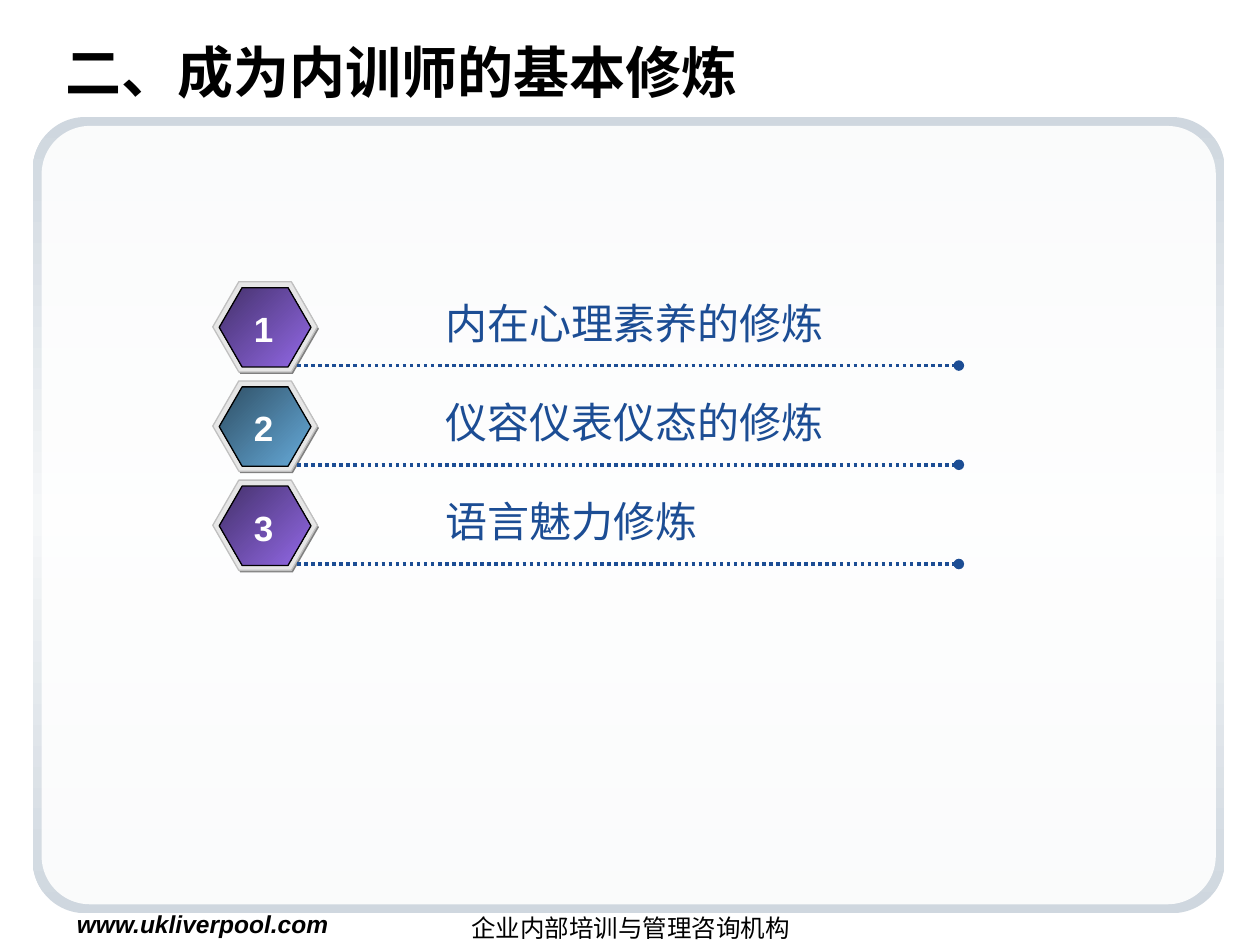
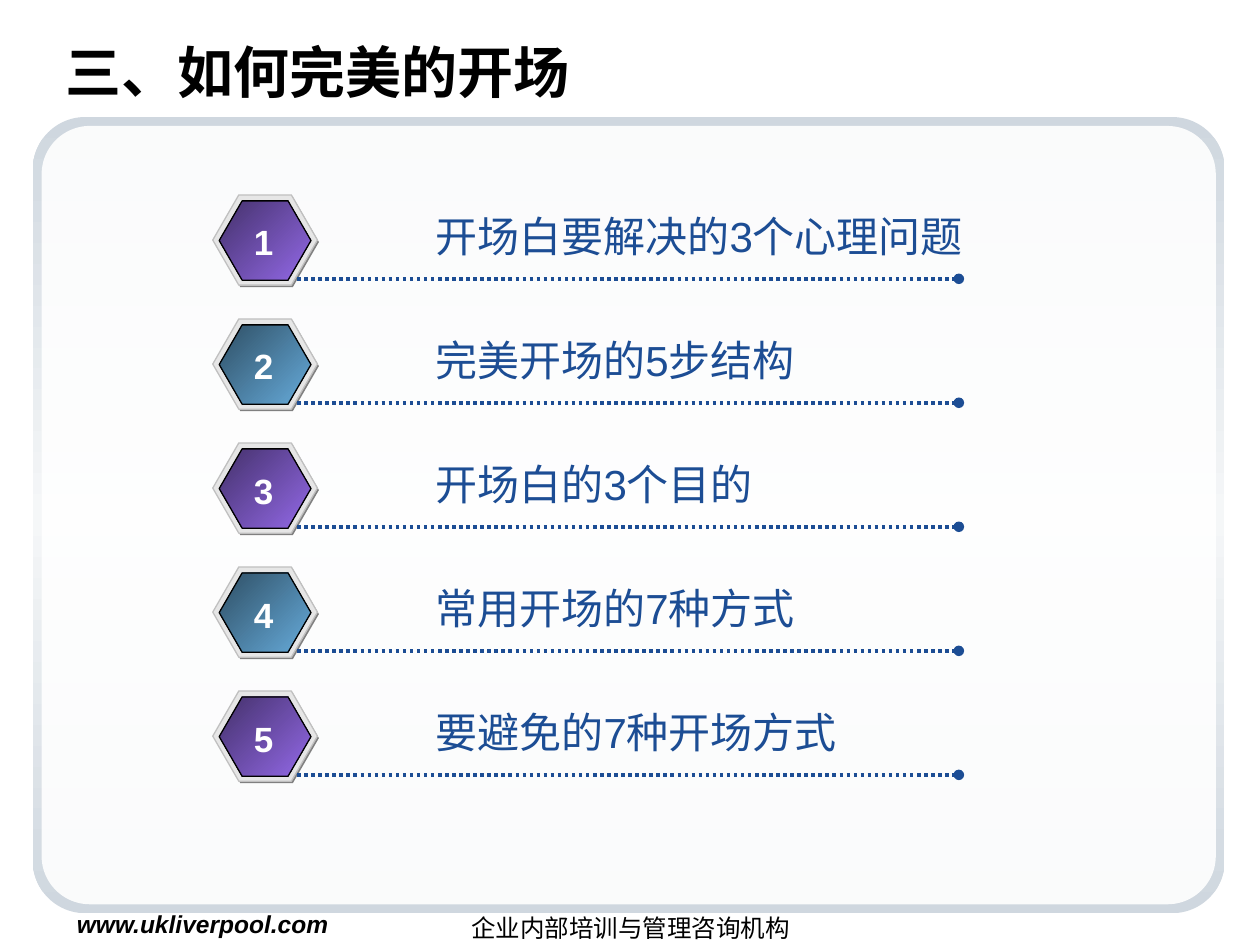
from lxml import etree
from pptx import Presentation
from pptx import util as u
from pptx.dml import color
from pptx.enum import dml, lang, shapes, text
from pptx.oxml import ns

FONT = "Arial"
BLACK, WHITE, NAVY = "000000", "FFFFFF", "1C4D94"
PURPLE, BLUE = ("44316B", "9369E7"), ("2F4F65", "66ABDA")
FRAME = ("CFD7DF", "F5F7F8", "CFD7DF")
BADGE_SIZE = (2.11, 1.82)

AGENDAS = [
    {
        "title": "二、成为内训师的基本修炼",
        "top": 5.68, "pitch": 2.0, "indent": 4.45,
        "items": ["内在心理素养的修炼", "仪容仪表仪态的修炼", "语言魅力修炼"],
    },
    {
        "title": "三、如何完美的开场",
        "top": 3.93, "pitch": 2.5, "indent": 4.24,
        "items": ["开场白要解决的3个心理问题", "完美开场的5步结构", "开场白的3个目的",
                  "常用开场的7种方式", "要避免的7种开场方式"],
    },
]


def rgb(value):
    """Turn a hex string into a colour."""
    return color.RGBColor.from_string(value)


def lengths(box):
    """Turn centimetre numbers into lengths."""
    return [u.Cm(value) for value in box]


def paint_gradient(shape, colours, angle):
    """Fill a shape with evenly spaced colour stops at a clockwise angle."""
    shape.fill.gradient()
    shape.fill.gradient_angle = 360 - angle
    stops = shape.element.spPr.find(".//" + ns.qn("a:gsLst"))
    for stop in list(stops):
        stops.remove(stop)
    for index, value in enumerate(colours):
        position = 100000 * index // (len(colours) - 1)
        stop = etree.SubElement(stops, ns.qn("a:gs"), pos=str(position))
        etree.SubElement(stop, ns.qn("a:srgbClr"), val=value)


def add_panel(parent, kind, box, adjust, fill, line=None, angle=45):
    """Add a preset shape with a plain or gradient fill."""
    panel = parent.add_shape(kind, *lengths(box))
    panel.shadow.inherit = False
    panel.adjustments[0] = adjust
    if isinstance(fill, tuple):
        paint_gradient(panel, fill, angle)
    else:
        panel.fill.solid()
        panel.fill.fore_color.rgb = rgb(fill)
    if line:
        panel.line.color.rgb = rgb(line)
        panel.line.width = u.Pt(0.75)
    else:
        panel.line.fill.background()
    return panel


def write(frame, words, size, colour, bold=False, italic=False, align=text.PP_ALIGN.LEFT):
    """Write one formatted run into the first paragraph of a frame."""
    para = frame.paragraphs[0]
    para.alignment = align
    span = para.add_run()
    span.text = words
    font = span.font
    font.name, font.size, font.bold, font.italic = FONT, u.Pt(size), bold, italic
    font.color.rgb = rgb(colour)
    font.language_id = lang.MSO_LANGUAGE_ID.SIMPLIFIED_CHINESE


def add_label(parent, box, words, size, colour, wrap=True, **style):
    """Add a text box holding one line."""
    label = parent.add_textbox(*lengths(box))
    label.text_frame.word_wrap = wrap
    write(label.text_frame, words, size, colour, **style)


def add_rule(parent, left, top, width):
    """Add a dotted rule that ends in a dot."""
    rule = parent.add_connector(shapes.MSO_CONNECTOR.STRAIGHT,
                                *lengths((left, top, left + width, top)))
    rule.line.color.rgb = rgb(NAVY)
    rule.line.width = u.Pt(2)
    rule.line.dash_style = dml.MSO_LINE.ROUND_DOT
    etree.SubElement(rule.line._get_or_add_ln(), ns.qn("a:tailEnd"), type="oval")
    etree.SubElement(rule.element.spPr, ns.qn("a:effectLst"))


def add_title(page, words):
    """Place the slide title above the card."""
    title = page.shapes.title
    title.left, title.top, title.width, title.height = lengths((1.07, 0.64, 23.7, 1.57))
    title.text_frame.vertical_anchor = text.MSO_ANCHOR.MIDDLE
    title.text_frame.auto_size = text.MSO_AUTO_SIZE.NONE
    write(title.text_frame, words, 32, BLACK, bold=True)


def add_card(page, left, top, width, height):
    """Draw the rounded frame and its translucent inner sheet."""
    rounded = shapes.MSO_SHAPE.ROUNDED_RECTANGLE
    add_panel(page.shapes, rounded, (left, top, width, height), 0.066, FRAME, angle=90)
    inset = 0.18
    sheet = add_panel(page.shapes, rounded,
                      (left + inset, top + inset, width - 2 * inset, height - 2 * inset),
                      0.062, WHITE)
    value = sheet.element.spPr.find(".//" + ns.qn("a:srgbClr"))
    etree.SubElement(value, ns.qn("a:alpha"), val="90000")


def add_footer(page, top):
    """Write the web address and the organiser."""
    add_label(page.shapes, (1.3, top, 6.0, 0.84), "www.ukliverpool.com", 14, BLACK,
              bold=True, italic=True)
    add_label(page.shapes, (8.69, top + 0.08, 8.05, 0.64), "企业内部培训与管理咨询机构", 14, BLACK,
              align=text.PP_ALIGN.CENTER)


def add_item(page, left, top, number, words, indent):
    """Draw one numbered agenda row as a group."""
    row = page.shapes.add_group_shape().shapes
    hexagon = shapes.MSO_SHAPE.HEXAGON
    face = PURPLE if number % 2 else BLUE
    add_panel(row, hexagon, (left + 0.03, top + 0.04, *BADGE_SIZE), 0.289, "808080")
    add_panel(row, hexagon, (left, top, *BADGE_SIZE), 0.289, "E6E6E6", "C0C0C0")
    add_panel(row, hexagon, (left + 0.13, top + 0.12, 1.85, 1.6), 0.289, face, BLACK)
    add_rule(row, left + 1.7, top + 1.69, 13.34)
    add_label(row, (left + indent, top + 0.19, 12, 1.27), words, 24, NAVY)
    add_label(row, (left + 0.58, top + 0.4, 0.89, 1.12), str(number), 20, WHITE,
              wrap=False, bold=True, align=text.PP_ALIGN.CENTER)


def add_agenda(deck, title, top, pitch, indent, items):
    """Build one agenda slide."""
    page = deck.slides.add_slide(deck.slide_layouts[5])
    add_title(page, title)
    add_card(page, 0.66, 2.36, 24.03, 16.05)
    add_footer(page, 18.21)
    for index, words in enumerate(items):
        add_item(page, 4.29, top + index * pitch, index + 1, words, indent)


def main():
    """Build and save the deck."""
    deck = Presentation()
    deck.slide_width, deck.slide_height = lengths((25.4, 19.05))
    for agenda in AGENDAS:
        add_agenda(deck, **agenda)
    deck.save("out.pptx")


if __name__ == "__main__":
    main()
